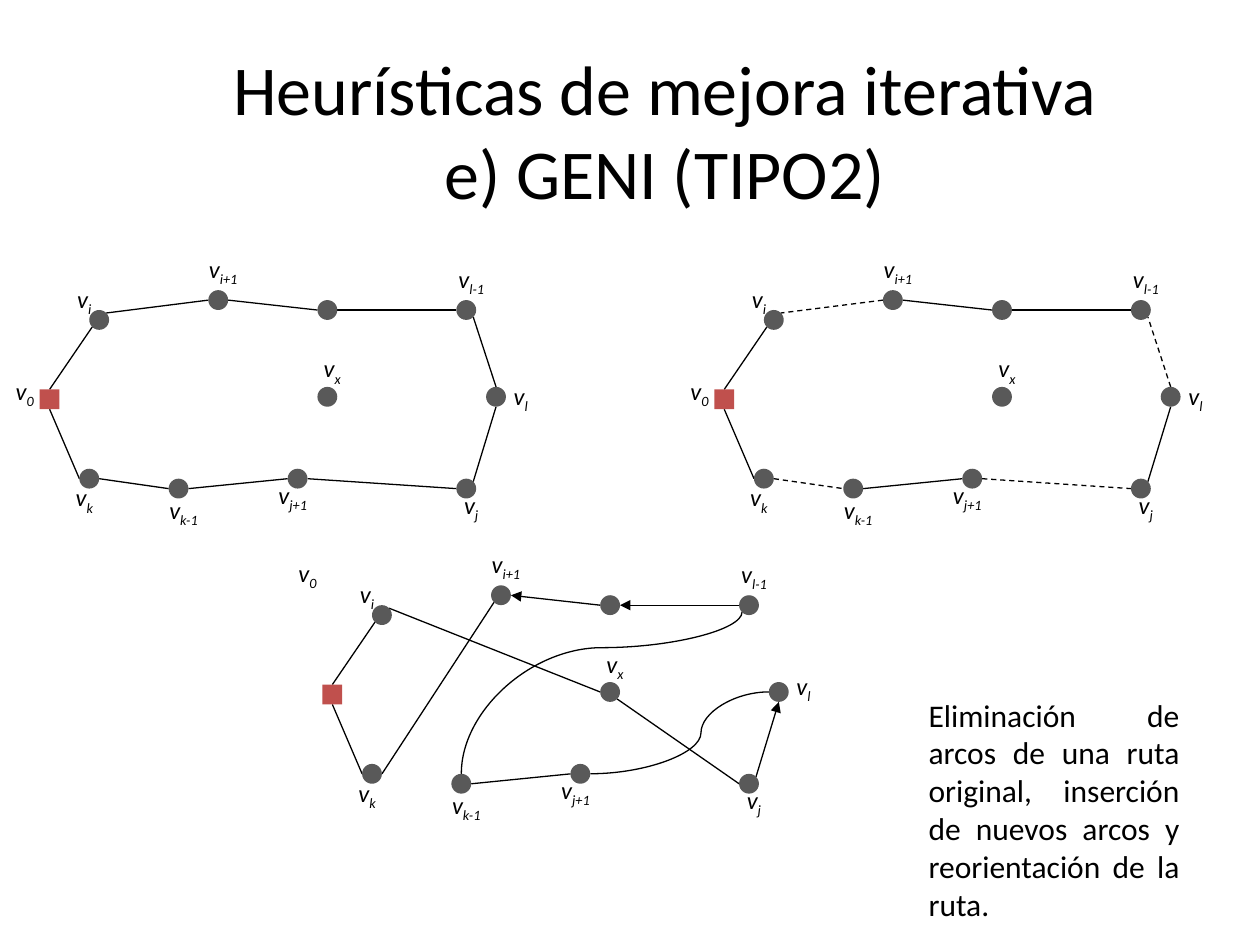
import dataclasses

import lxml.etree
import pptx
import pptx.dml.color
import pptx.enum.dml
import pptx.enum.shapes
import pptx.enum.text
import pptx.oxml.ns
import pptx.util

Cm = pptx.util.Cm
qn = pptx.oxml.ns.qn
RGB = pptx.dml.color.RGBColor.from_string
ALIGN = pptx.enum.text.PP_ALIGN
SHAPE = pptx.enum.shapes.MSO_SHAPE
CONNECTOR = pptx.enum.shapes.MSO_CONNECTOR


@dataclasses.dataclass(frozen=True)
class Theme:
    font: str = "Calibri"
    ink: str = "000000"
    vertex: str = "595959"
    depot: str = "C0504D"
    title_size: float = 40
    body_size: float = 18
    label_size: float = 14
    edge_width: float = 0.75


THEME = Theme()

# All lengths below are centimetres, relative to the route's own corner
RADIUS = 0.2
DIAGONAL = 0.14
PORTS = {
    "t": (0, -RADIUS), "b": (0, RADIUS), "l": (-RADIUS, 0), "r": (RADIUS, 0),
    "tr": (DIAGONAL, -DIAGONAL), "br": (DIAGONAL, DIAGONAL), "bl": (-DIAGONAL, DIAGONAL),
}
VERTICES = {
    "0": (1, 3.05), "i": (2, 1.45), "i+1": (4.4, 1.05), "mid": (6.6, 1.25),
    "l-1": (9.4, 1.25), "l": (10, 3), "x": (6.6, 3), "j": (9.4, 4.85),
    "j+1": (6, 4.65), "k-1": (3.6, 4.85), "k": (1.8, 4.65),
}
# Left, top and width of each label
LABELS = {
    "i": (1.2, 0.6, 1), "0": (0, 2.45, 1), "i+1": (3.8, 0, 1.4), "l-1": (8.8, 0.2, 1.4),
    "x": (6, 2, 1.4), "l": (9.8, 2.55, 1.4), "j": (8.8, 4.75, 1.4),
    "j+1": (5.2, 4.55, 1.4), "k-1": (3, 4.85, 1.4), "k": (1, 4.6, 1.4),
}
LABEL_HEIGHT = 0.86

# Edges: start vertex, start port, end vertex, end port
KEPT = [
    ("i", "bl", "0", "t"), ("mid", "l", "i+1", "r"), ("l-1", "l", "mid", "r"),
    ("k-1", "r", "j+1", "l"), ("0", "b", "k", "l"), ("j", "tr", "l", "b"),
]
REMOVED = [
    ("i+1", "l", "i", "tr"), ("j+1", "r", "j", "l"),
    ("k", "r", "k-1", "l"), ("l", "t", "l-1", "br"),
]
INSERTED = [("x", "l", "i", "tr"), ("x", "br", "j", "l"), ("k", "r", "i+1", "bl")]
REVERSED = [("mid", "l", "i+1", "r"), ("l-1", "l", "mid", "r"), ("j", "tr", "l", "b")]


def add_text(slide, box, text, *, size, align=ALIGN.CENTER, italic=False, subscript=""):
    frame = slide.shapes.add_textbox(*map(Cm, box)).text_frame
    frame.word_wrap = True
    frame.auto_size = pptx.enum.text.MSO_AUTO_SIZE.SHAPE_TO_FIT_TEXT
    paragraph = frame.paragraphs[0]
    paragraph.text = text
    paragraph.alignment = align
    if subscript:
        index = paragraph.add_run()
        index.text = subscript
        index.font._element.set("baseline", "-25000")
    for run in paragraph.runs:
        run.font.name = THEME.font
        run.font.size = pptx.util.Pt(size)
        run.font.italic = italic
        run.font.color.rgb = RGB(THEME.ink)


def style_edge(edge, dashed=False, arrow=False):
    edge.line.color.rgb = RGB(THEME.ink)
    edge.line.width = pptx.util.Pt(THEME.edge_width)
    if dashed:
        edge.line.dash_style = pptx.enum.dml.MSO_LINE.DASH
    properties = edge.element.spPr
    if arrow:
        lxml.etree.SubElement(properties.find(qn("a:ln")), qn("a:tailEnd"), type="triangle")
    lxml.etree.SubElement(properties, qn("a:effectLst"))


def port_point(origin, vertex, port):
    return tuple(sum(parts) for parts in zip(origin, VERTICES[vertex], PORTS[port]))


def add_edges(slide, origin, edges, **style):
    for start, start_port, end, end_port in edges:
        ends = port_point(origin, start, start_port) + port_point(origin, end, end_port)
        style_edge(slide.shapes.add_connector(CONNECTOR.STRAIGHT, *map(Cm, ends)), **style)


def add_curve(slide, origin, edge, bend, upright=False):
    start, start_port, end, end_port = edge
    x1, y1 = port_point(origin, start, start_port)
    x2, y2 = port_point(origin, end, end_port)
    if upright:
        # Turn the ends back a quarter, so that the rotation restores them
        cx, cy, dx, dy = (x1 + x2) / 2, (y1 + y2) / 2, (x2 - x1) / 2, (y2 - y1) / 2
        x1, y1, x2, y2 = cx - dy, cy + dx, cx + dy, cy - dx
    curve = slide.shapes.add_connector(CONNECTOR.CURVE, *map(Cm, (x1, y1, x2, y2)))
    properties = curve.element.spPr
    if upright:
        properties.find(qn("a:xfrm")).set("rot", "5400000")
    adjustments = properties.find(qn("a:prstGeom")).find(qn("a:avLst"))
    lxml.etree.SubElement(adjustments, qn("a:gd"), name="adj1", fmla=f"val {round(bend * 100000)}")
    style_edge(curve)


def add_vertices(slide, origin, moved_labels=None):
    left, top = origin
    for name, (x, y) in VERTICES.items():
        is_depot = name == "0"
        box = (left + x - RADIUS, top + y - RADIUS, 2 * RADIUS, 2 * RADIUS)
        vertex = slide.shapes.add_shape(SHAPE.RECTANGLE if is_depot else SHAPE.OVAL, *map(Cm, box))
        vertex.shadow.inherit = False
        vertex.fill.solid()
        vertex.fill.fore_color.rgb = RGB(THEME.depot if is_depot else THEME.vertex)
        vertex.line.fill.background()
    for name, (x, y, width) in (LABELS | (moved_labels or {})).items():
        add_text(slide, (left + x, top + y, width, LABEL_HEIGHT), "v",
                 size=THEME.label_size, italic=True, subscript=name)


def add_route(slide, origin, dashed):
    """Starting route, with the arcs to be removed dashed on request."""
    add_edges(slide, origin, KEPT)
    add_edges(slide, origin, REMOVED, dashed=dashed)
    add_vertices(slide, origin)


def add_improved_route(slide, origin):
    """Route after the insertion of vx."""
    add_curve(slide, origin, ("k-1", "t", "l-1", "bl"), 0.78, upright=True)
    add_curve(slide, origin, ("j+1", "r", "l", "l"), 0.62)
    add_edges(slide, origin, [edge for edge in KEPT if edge not in REVERSED] + INSERTED)
    add_edges(slide, origin, REVERSED, arrow=True)
    add_vertices(slide, origin, {"0": (0, 0.17, 1), "l": (9.8, 2.45, 1.4)})


def main():
    deck = pptx.Presentation()
    deck.slide_width, deck.slide_height = Cm(25.4), Cm(19.05)
    slide = deck.slides.add_slide(deck.slide_layouts[6])

    # Three stages of the route
    add_route(slide, (0, 5), dashed=False)
    add_route(slide, (13.6, 5), dashed=True)
    add_improved_route(slide, (5.7, 10.95))

    # Title and explanation
    add_text(slide, (4.37, 0.79, 18.06, 3.68),
             "Heurísticas de mejora iterativa\ve) GENI (TIPO2)", size=THEME.title_size)
    add_text(slide, (18.47, 13.9, 5.56, 4.88),
             "Eliminación de arcos de una ruta original, inserción de nuevos arcos "
             "y reorientación de la ruta.", size=THEME.body_size, align=ALIGN.JUSTIFY)
    deck.save("out.pptx")


if __name__ == "__main__":
    main()
